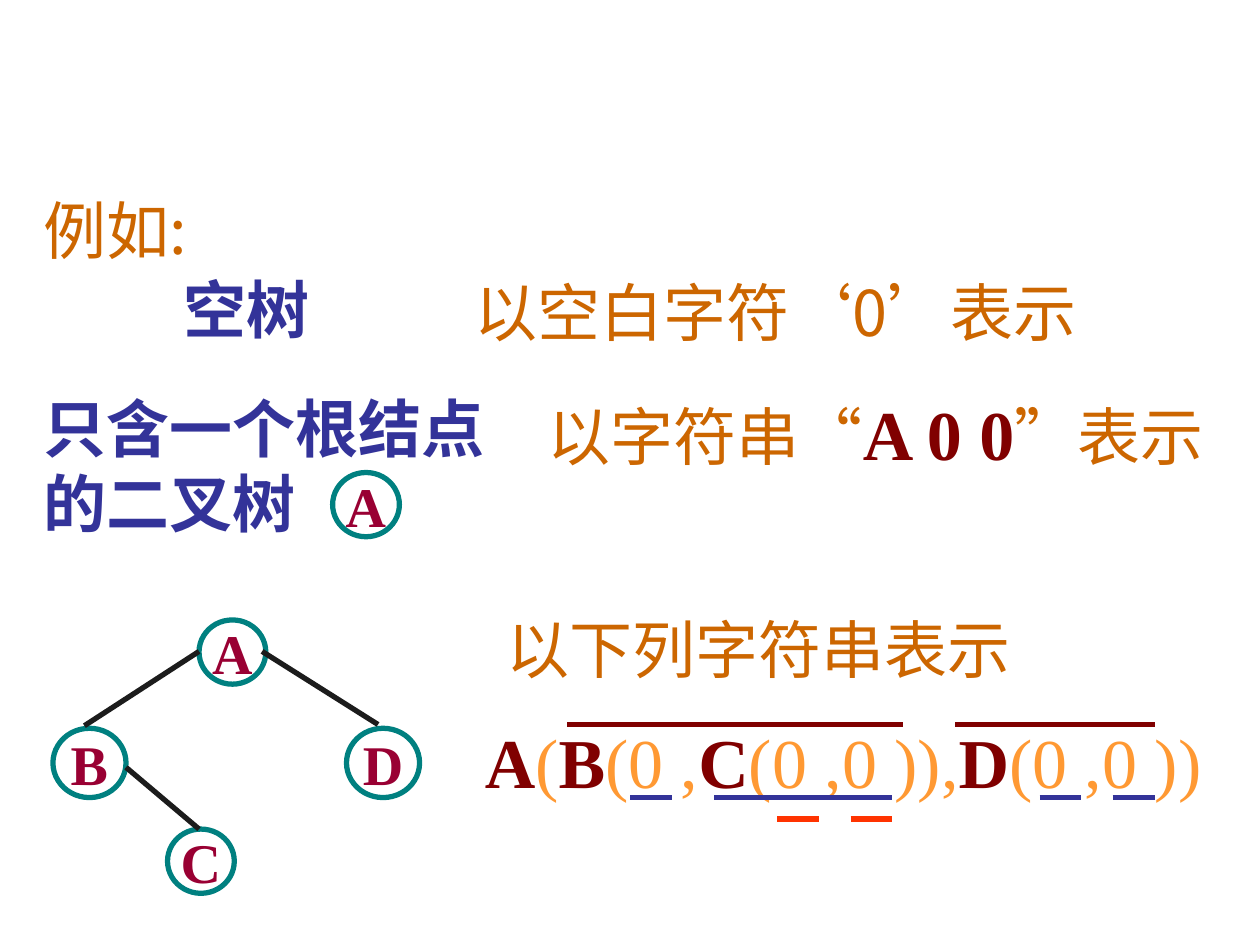
from lxml import etree
from pptx import Presentation
from pptx import util as u
from pptx.dml.color import RGBColor
from pptx.enum import lang, shapes, text
from pptx.oxml.ns import qn

PX = 9144  # one px is 1/100 inch
CJK, SERIF = "Noto Sans CJK SC", "Times New Roman"
COLORS = {
    "orange": "CC6600", "light": "FF9933", "maroon": "800000",
    "blue": "333399", "red": "FF3300", "crimson": "990033",
    "teal": "008080", "white": "FFFFFF", "edge": "1C1C1C",
}
NOTE = {"name": CJK, "size": 36, "color": "orange", "bold": False}
TERM = {"name": SERIF, "size": 36, "color": "blue", "bold": True}
NODE = {"name": SERIF, "size": 32, "color": "crimson", "bold": True}
LETTER = {"name": SERIF, "size": 40, "color": "maroon", "bold": True}
MARK = {"name": SERIF, "size": 40, "color": "light", "bold": False}


def rgb(color):
    return RGBColor.from_string(COLORS[color])


def emu(*lengths):
    return [u.Emu(length * PX) for length in lengths]


def add_run(paragraph, words, style):
    run = paragraph.add_run()
    run.text = words
    font = run.font
    values = {"name": style["name"], "size": u.Pt(style["size"]), "bold": style["bold"]}
    for key, value in values.items():
        setattr(font, key, value)
    font.color.rgb = rgb(style["color"])
    if style in (NOTE, TERM):
        font.language_id = lang.MSO_LANGUAGE_ID.SIMPLIFIED_CHINESE
    latin = run._r.rPr.find(qn("a:latin"))
    east_asian = etree.Element(qn("a:ea"), typeface=CJK)
    latin.addnext(east_asian)


def add_text(slide, box, runs, spacing=1.0, wrap=True):
    frame = slide.shapes.add_textbox(*emu(*box)).text_frame
    frame.word_wrap = wrap
    frame.auto_size = text.MSO_AUTO_SIZE.SHAPE_TO_FIT_TEXT
    paragraph = frame.paragraphs[0]
    paragraph.line_spacing = spacing
    for words, style in runs:
        add_run(paragraph, words, style)


def add_line(slide, start, end, color):
    line = slide.shapes.add_connector(
        shapes.MSO_CONNECTOR.STRAIGHT, *emu(*start, *end))
    line.line.color.rgb = rgb(color)
    line.line.width = u.Pt(3)
    etree.SubElement(line._element.spPr, qn("a:effectLst"))


def add_node(slide, letter, box):
    node = slide.shapes.add_shape(shapes.MSO_SHAPE.OVAL, *emu(*box))
    node.shadow.inherit = False
    node.fill.solid()
    node.fill.fore_color.rgb = rgb("white")
    node.line.color.rgb = rgb("teal")
    node.line.width = u.Pt(3)
    frame = node.text_frame
    frame.word_wrap = False
    frame.vertical_anchor = text.MSO_ANCHOR.MIDDLE
    frame.paragraphs[0].alignment = text.PP_ALIGN.CENTER
    add_run(frame.paragraphs[0], letter, NODE)


def add_empty_tree(slide, left, top):
    add_text(slide, (left, top, 162, 70), [("例如:", NOTE)], wrap=False)
    add_text(slide, (left + 111, top + 63, 148, 70), [("空树", TERM)])
    add_text(slide, (left + 342, top + 53, 550, 82),
             [("以空白字符‘0’表示", NOTE)], 1.2)


def add_single_root(slide, left, top):
    add_text(slide, (left, top + 12, 398, 130), [("只含一个根结点的二叉树", TERM)])
    add_node(slide, "A", (left + 239, top + 83, 53, 51))
    add_text(slide, (left + 400, top, 608, 90),
             [("以字符串“", NOTE), ("A 0 0", LETTER), ("”表示", NOTE)], 1.2)


def add_tree(slide, left, top):
    nodes = {"A": (116, 0, 53, 51), "B": (0, 86, 58, 55),
             "C": (91, 166, 53, 51), "D": (233, 86, 58, 55)}
    edges = [((116, 25), (25, 84)), ((166, 25), (258, 83)), ((58, 117), (116, 166))]
    for letter, (x, y, width, height) in nodes.items():
        add_node(slide, letter, (left + x, top + y, width, height))
    for ends in edges:
        start, end = [(left + x, top + y) for x, y in ends]
        add_line(slide, start, end, "edge")


def add_tree_string(slide, left, top):
    """Bracketed string of the tree, with lines that mark its subtrees."""
    add_text(slide, (left + 17, top, 608, 82), [("以下列字符串表示", NOTE)], 1.2)
    parts = ["A", "(", "B", "(0 ,", "C", "(0 ,0 )),", "D", "(0 ,0 ))"]
    runs = [(part, LETTER if part.isalpha() else MARK) for part in parts]
    add_text(slide, (left, top + 84, 667, 90), runs, 1.2)
    levels = [
        (107, "maroon", [(75, 342), (383, 542)]),
        (165, "blue", [(125, 158), (192, 333), (450, 483), (508, 542)]),
        (182, "red", [(242, 275), (300, 333)]),
    ]
    for y, color, spans in levels:
        for start, end in spans:
            add_line(slide, (left + start, top + y), (left + end, top + y), color)


def main():
    deck = Presentation()
    deck.slide_width, deck.slide_height = emu(1000, 750)
    slide = deck.slides.add_slide(deck.slide_layouts[6])
    add_empty_tree(slide, 25, 147)
    add_single_root(slide, 25, 292)
    add_tree(slide, 42, 492)
    add_tree_string(slide, 375, 468)
    deck.save("out.pptx")


if __name__ == "__main__":
    main()
